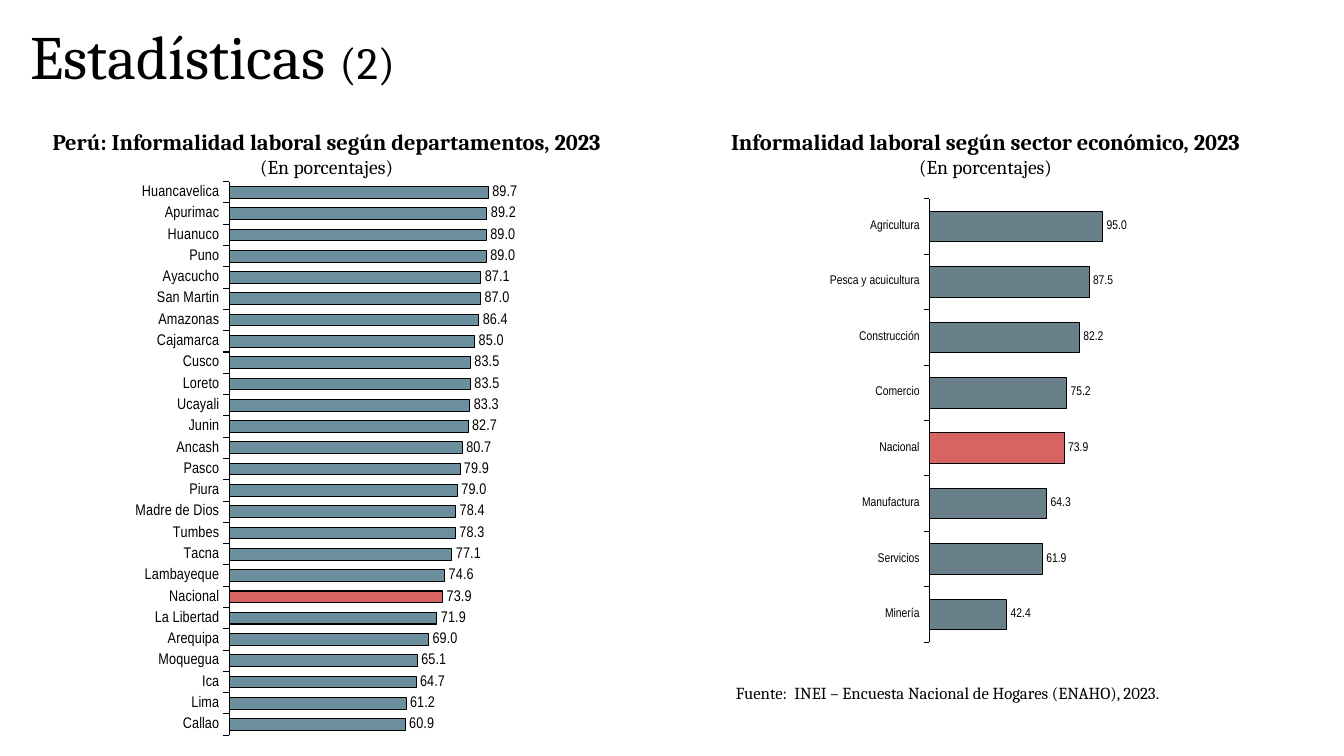
from lxml import etree
from pptx import Presentation
from pptx.chart.data import CategoryChartData
from pptx.dml.color import RGBColor
from pptx.enum.chart import XL_CHART_TYPE, XL_LABEL_POSITION, XL_TICK_MARK
from pptx.enum.text import MSO_ANCHOR, PP_ALIGN
from pptx.oxml import parse_xml
from pptx.oxml.ns import nsdecls, qn
from pptx.util import Inches, Pt

BAR_CLUSTERED = XL_CHART_TYPE.BAR_CLUSTERED
OUTSIDE_END = XL_LABEL_POSITION.OUTSIDE_END
TICK_OUTSIDE, TICK_NONE = XL_TICK_MARK.OUTSIDE, XL_TICK_MARK.NONE
TOP, MIDDLE = MSO_ANCHOR.TOP, MSO_ANCHOR.MIDDLE
LEFT, CENTER = PP_ALIGN.LEFT, PP_ALIGN.CENTER

COLORS = {"black": "000000", "department": "104862", "sector": "0B3041", "national": "C00000"}
NATIONAL = "Nacional"

# Rates in percent, from the bottom bar to the top one
DEPARTMENTS = {
    "Callao": 60.9, "Lima": 61.2, "Ica": 64.7, "Moquegua": 65.1, "Arequipa": 69.0,
    "La Libertad": 71.9, NATIONAL: 73.9, "Lambayeque": 74.6, "Tacna": 77.1,
    "Tumbes": 78.3, "Madre de Dios": 78.4, "Piura": 79.0, "Pasco": 79.9,
    "Ancash": 80.7, "Junin": 82.7, "Ucayali": 83.3, "Loreto": 83.5, "Cusco": 83.5,
    "Cajamarca": 85.0, "Amazonas": 86.4, "San Martin": 87.0, "Ayacucho": 87.1,
    "Puno": 89.0, "Huanuco": 89.0, "Apurimac": 89.2, "Huancavelica": 89.7,
}
SECTORS = {
    "Minería": 42.4, "Servicios": 61.9, "Manufactura": 64.3, NATIONAL: 73.9,
    "Comercio": 75.2, "Construcción": 82.2, "Pesca y acuicultura": 87.5, "Agricultura": 95.0,
}


class SlideBuilder:
    text_font = "Cambria"
    chart_font = "Arial Narrow"

    def __init__(self, slide):
        self.slide = slide

    def style_font(self, font, name, size, bold=False):
        font.name = name
        font.size = Pt(size)
        font.bold = bold
        font.color.rgb = RGBColor.from_string(COLORS["black"])

    def text(self, box, paragraphs, align=LEFT, anchor=TOP, line_spacing=None):
        """Each paragraph is a (text, size, bold) tuple."""
        shape = self.slide.shapes.add_textbox(*map(Inches, box))
        frame = shape.text_frame
        frame.word_wrap = True
        frame.vertical_anchor = anchor
        for index, (text, size, bold) in enumerate(paragraphs):
            paragraph = frame.add_paragraph() if index else frame.paragraphs[0]
            paragraph.text = text
            paragraph.alignment = align
            paragraph.line_spacing = line_spacing
            self.style_font(paragraph.font, self.text_font, size, bold)
        return frame

    def heading(self, box, text):
        self.text(box, [(text, 16, True), ("(En porcentajes)", 14, False)], CENTER)

    def fill_bar(self, bar_format, color, opacity=61):
        bar_format.fill.solid()
        bar_format.fill.fore_color.rgb = RGBColor.from_string(COLORS[color])
        for element in bar_format.fill._xPr.find(qn("a:solidFill")):
            etree.SubElement(element, qn("a:alpha"), val=str(opacity * 1000))
        self.outline(bar_format.line)

    def outline(self, line):
        line.width = Pt(0.75)
        line.color.rgb = RGBColor.from_string(COLORS["black"])

    def place_plot(self, chart, plot_box):
        plot_area = chart._chartSpace.chart.plotArea
        for layout in plot_area.findall(qn("c:layout")):
            plot_area.remove(layout)
        values = "".join(f'<c:{tag} val="{value}"/>' for tag, value in zip("xywh", plot_box))
        plot_area.insert(0, parse_xml(
            f'<c:layout {nsdecls("c")}><c:manualLayout><c:layoutTarget val="inner"/>'
            f'<c:xMode val="edge"/><c:yMode val="edge"/>{values}</c:manualLayout></c:layout>'))

    def bar_chart(self, box, rates, color, size, plot_box):
        data = CategoryChartData(number_format="0.0")
        data.categories = list(rates)
        data.add_series("Informalidad laboral", list(rates.values()))
        chart = self.slide.shapes.add_chart(BAR_CLUSTERED, *map(Inches, box), data).chart
        chart.has_legend = False
        chart.has_title = False
        self.style_font(chart.font, self.chart_font, size)
        self.place_plot(chart, plot_box)

        # Axes
        category_axis, value_axis = chart.category_axis, chart.value_axis
        category_axis.major_tick_mark = TICK_OUTSIDE
        category_axis.minor_tick_mark = TICK_NONE
        self.style_font(category_axis.tick_labels.font, self.chart_font, size)
        self.outline(category_axis.format.line)
        value_axis.minimum_scale, value_axis.maximum_scale = 0, 100
        value_axis.has_major_gridlines = False
        value_axis.visible = False

        # Bars and their labels
        plot = chart.plots[0]
        plot.gap_width = 82
        plot.vary_by_categories = False
        series = plot.series[0]
        series.invert_if_negative = False
        self.fill_bar(series.format, color)
        self.fill_bar(series.points[list(rates).index(NATIONAL)].format, "national")
        labels = series.data_labels
        labels.show_value = True
        labels.position = OUTSIDE_END
        labels.number_format = "#,##0.0"
        labels.number_format_is_linked = False
        self.style_font(labels.font, self.chart_font, size)


def main():
    presentation = Presentation()
    presentation.slide_width, presentation.slide_height = Inches(13.33), Inches(7.5)
    builder = SlideBuilder(presentation.slides.add_slide(presentation.slide_layouts[6]))

    # Title with a smaller part number
    title = builder.text((0.2, 0.18, 11.06, 0.82), [("Estadísticas ", 44, False)],
                         anchor=MIDDLE, line_spacing=0.9)
    part_number = title.paragraphs[0].add_run()
    part_number.text = "(2)"
    part_number.font.size = Pt(32)

    # Departments
    builder.heading((0.33, 1.22, 5.82, 0.61), "Perú: Informalidad laboral según departamentos, 2023")
    builder.bar_chart((1.27, 1.7, 3.94, 5.71), DEPARTMENTS, "department", 11,
                      (0.255, 0.018, 0.727, 0.962))

    # Economic sectors
    builder.heading((6.97, 1.22, 5.61, 0.61), "Informalidad laboral según sector económico, 2023")
    builder.bar_chart((8.13, 1.82, 3.12, 4.71), SECTORS, "sector", 9,
                      (0.349, 0.032, 0.58, 0.935))

    # Source note
    builder.text((7.2, 6.72, 5.14, 0.31),
                 [("Fuente:  INEI – Encuesta Nacional de Hogares (ENAHO), 2023.", 12, False)],
                 anchor=MIDDLE)

    presentation.save("out.pptx")


if __name__ == "__main__":
    main()
